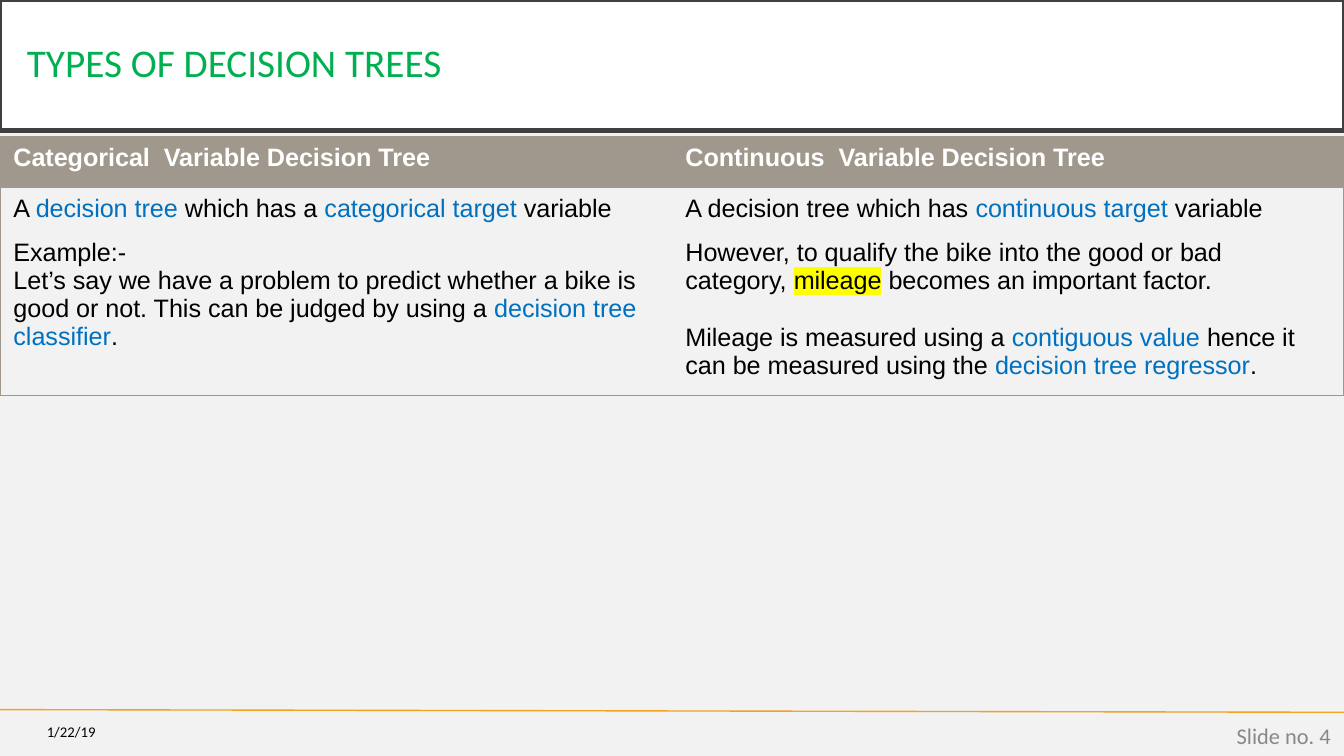
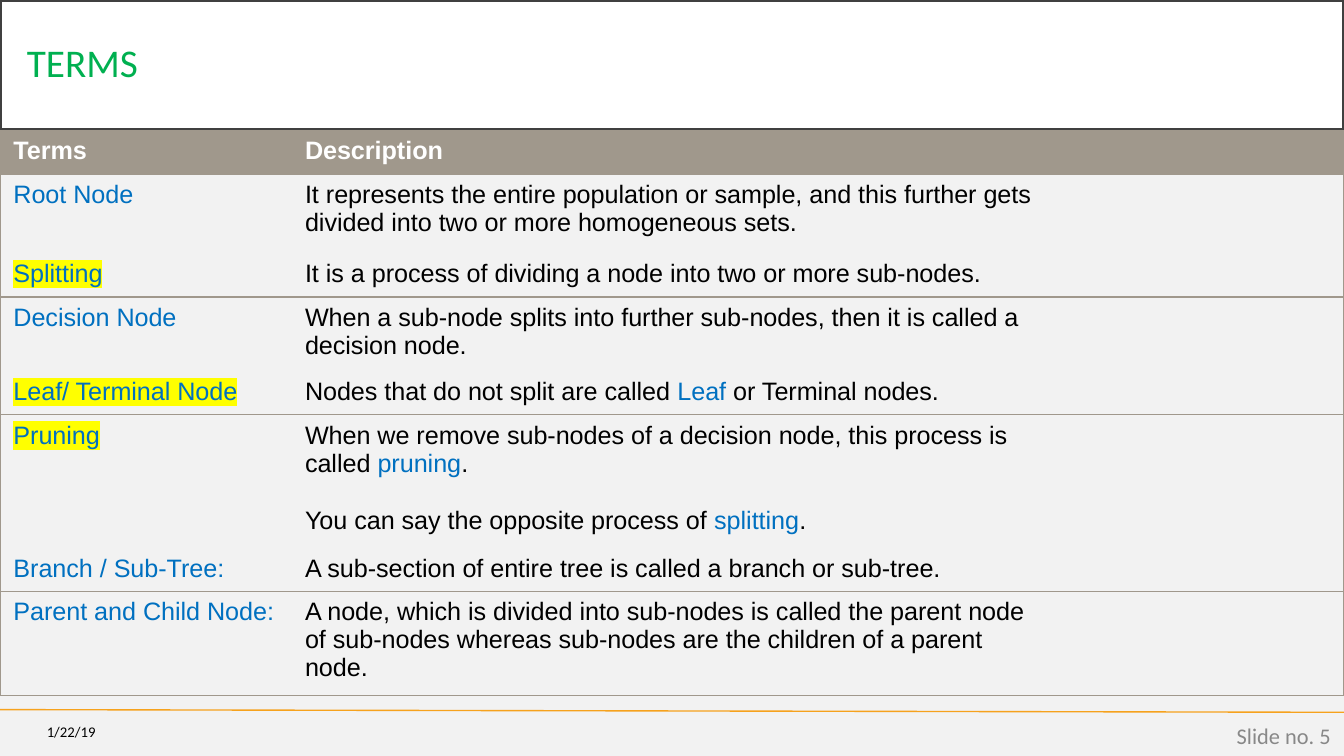
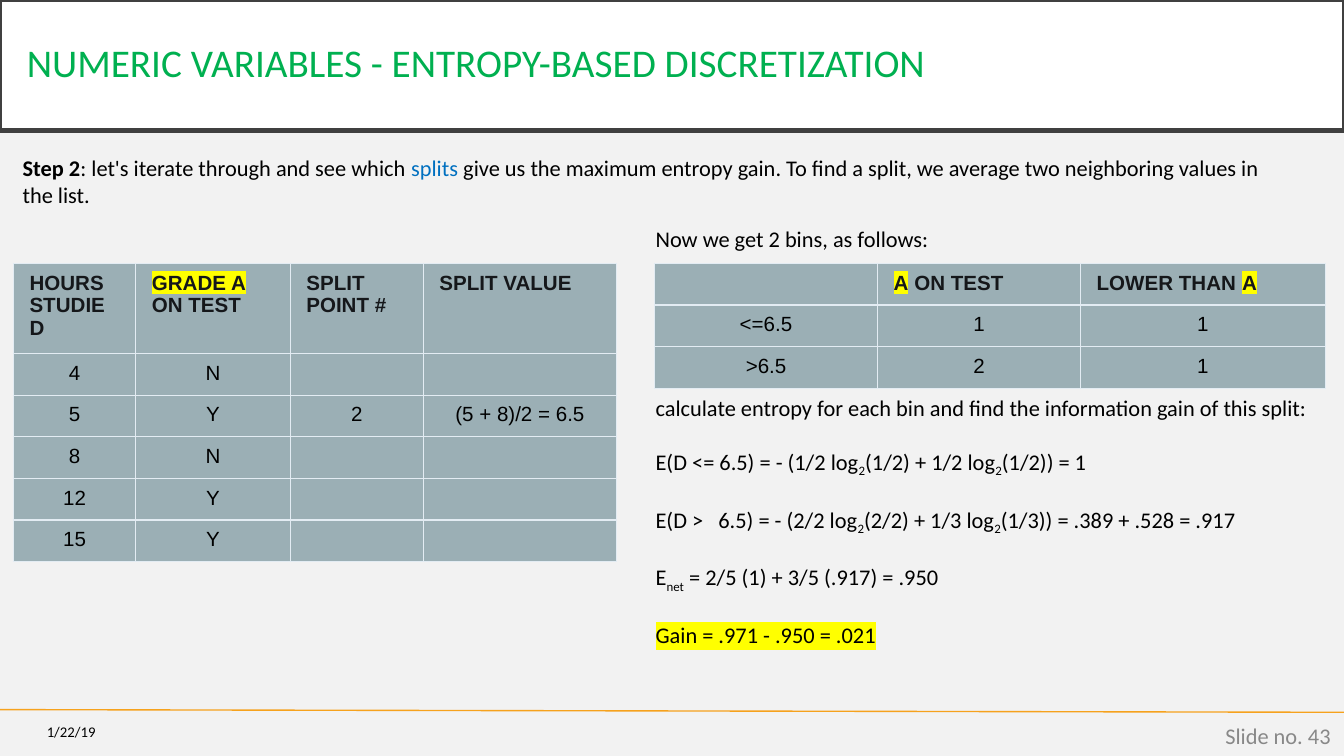
from lxml import etree
from pptx import Presentation
from pptx.dml.color import RGBColor
from pptx.enum.shapes import MSO_CONNECTOR
from pptx.enum.text import MSO_ANCHOR, MSO_AUTO_SIZE, PP_ALIGN
from pptx.oxml.ns import qn
from pptx.util import Inches, Pt

LEFT, CENTER, RIGHT = PP_ALIGN.LEFT, PP_ALIGN.CENTER, PP_ALIGN.RIGHT
MIDDLE, TOP = MSO_ANCHOR.MIDDLE, MSO_ANCHOR.TOP

WIDTH = 10
HEIGHT = WIDTH * 9 / 16
PAPER = RGBColor(0xF2, 0xF2, 0xF2)
WHITE = RGBColor(0xFF, 0xFF, 0xFF)
BLACK = RGBColor(0, 0, 0)
INK = RGBColor(0x15, 0x17, 0x1A)
CHARCOAL = RGBColor(0x40, 0x40, 0x40)
GREEN = RGBColor(0x00, 0xB0, 0x50)
BLUE = RGBColor(0x00, 0x70, 0xC0)
GRAY = RGBColor(0x88, 0x88, 0x88)
ORANGE = RGBColor(0xF6, 0xA2, 0x1D)
TAUPE = RGBColor(0xA0, 0x98, 0x8C)
SLATE = RGBColor(0x9B, 0xAF, 0xB5)
ICE = RGBColor(0xE3, 0xEC, 0xF3)
YELLOW = RGBColor(0xFF, 0xFF, 0x00)

NO_STYLE_TABLE = "{2D5ABB26-0587-4C30-8999-92F81FD0307C}"
DATE = "1/22/19"
ROW = 0.31  # height of a table row with one line of text
GAP = object()  # first in a paragraph: leave one line free above it


def key(text):
    return text, "key"


def mark(text):
    return text, "mark"


def key_mark(text):
    return text, "key mark"


def sub(text):
    return text, "sub"


# Text is a string, or a list of paragraphs, each a list of runs.
TREE_TYPES = [
    ["Categorical  Variable Decision Tree", "Continuous  Variable Decision Tree"],
    [[["A ", key("decision tree "), "which has a ", key("categorical target"), " variable"]],
     [["A decision tree which has ", key("continuous target "), "variable"]]],
    [[["Example:-"],
      ["Let’s say we have a problem to predict whether a bike is good or not. "
       "This can be judged by using a ", key("decision tree classifier"), "."]],
     [["However, to qualify the bike into the good or bad category, ",
       mark("mileage"), " becomes an important factor."],
      [GAP, "Mileage is measured using a ", key("contiguous value "),
       "hence it can be measured using the ", key("decision tree regressor"), "."]]],
]

TERMS = [
    ["Terms", "Description", ""],
    [[[key("Root Node")]],
     "It represents the entire population or sample, and this further gets divided "
     "into two or more homogeneous sets.", ""],
    [[[key_mark("Splitting")]],
     "It is a process of dividing a node into two or more sub-nodes.", ""],
    [[[key("Decision Node")]],
     "When a sub-node splits into further sub-nodes, then it is called a decision node.", ""],
    [[[key_mark("Leaf/ Terminal Node")]],
     [["Nodes that do not split are called ", key("Leaf"), " or Terminal nodes."]], ""],
    [[[key_mark("Pruning")]],
     [["When we remove sub-nodes of a decision node, this process is called ",
       key("pruning"), "."],
      [GAP, "You can say the opposite process of ", key("splitting"), "."]], ""],
    [[[key("Branch / Sub-Tree:")]],
     "A sub-section of entire tree is called a branch or sub-tree.", ""],
    [[[key("Parent and Child Node:")]],
     "A node, which is divided into sub-nodes is called the parent node of sub-nodes "
     "whereas sub-nodes are the children of a parent node.", ""],
]

STEP = [[("Step 2", "bold"), ": let's iterate through and see which ", key("splits"),
         " give us the maximum entropy gain. To find a split, we average two "
         "neighboring values in the list."]]

SPLITS = [
    ["HOURS STUDIED", [[mark("GRADE A"), " ON TEST"]], "SPLIT POINT #", "SPLIT VALUE"],
    ["4", "N", "", ""],
    ["5", "Y", "2", "(5 + 8)/2 = 6.5"],
    ["8", "N", "", ""],
    ["12", "Y", "", ""],
    ["15", "Y", "", ""],
]

BINS = [
    ["", [[mark("A"), " ON TEST"]], [["LOWER THAN ", mark("A")]]],
    ["<=6.5", "1", "1"],
    [">6.5", "2", "1"],
]

ENTROPY = [
    ["calculate entropy for each bin and find the information gain of this split:"],
    [GAP, "E(D <= 6.5) = - (1/2 log", sub("2"), "(1/2) + 1/2 log", sub("2"), "(1/2)) = 1"],
    [GAP, "E(D >   6.5) = - (2/2 log", sub("2"), "(2/2) + 1/3 log", sub("2"),
     "(1/3)) = .389 + .528 = .917"],
    [GAP, "E", sub("net"), " = 2/5 (1) + 3/5 (.917) = .950"],
    [GAP, mark("Gain = .971 - .950 = .021")],
]


def add_run(paragraph, text, flags=""):
    run = paragraph.add_run()
    run.text = text
    flags = flags.split()
    if "bold" in flags:
        run.font.bold = True
    if "key" in flags:
        run.font.color.rgb = BLUE
    properties = run.font._element
    if "mark" in flags:
        highlight = etree.SubElement(properties, qn("a:highlight"))
        etree.SubElement(highlight, qn("a:srgbClr"), val=str(YELLOW))
    if "sub" in flags:
        properties.set("baseline", "-25000")


def write(frame, text, size, font="Calibri", color=BLACK, bold=False, align=LEFT):
    """Fill a text frame; an empty text still fixes the height of its line."""
    line_height = size * (1.22 if font == "Calibri" else 1.15)
    paragraphs = [[text]] if isinstance(text, str) else text
    for index, runs in enumerate(paragraphs):
        paragraph = frame.add_paragraph() if index else frame.paragraphs[0]
        paragraph.alignment = align
        if runs[0] is GAP:
            paragraph.space_before = Pt(line_height)
            runs = runs[1:]
        paragraph.font.size = Pt(size)
        paragraph.font.name = font
        paragraph.font.bold = bold
        paragraph.font.color.rgb = color
        for run in runs:
            if run:
                add_run(paragraph, *([run] if isinstance(run, str) else run))
        if text == "":
            etree.SubElement(paragraph._p, qn("a:endParaRPr"), sz=str(int(size * 100)))


def add_text(slide, box, text, size, color=BLACK, align=LEFT, anchor=TOP):
    frame = slide.shapes.add_textbox(*map(Inches, box)).text_frame
    frame.word_wrap = True
    frame.vertical_anchor = anchor
    write(frame, text, size, color=color, align=align)


def set_borders(cell, sides, color):
    """Draw the named sides (letters of LRTB) of a cell and clear the others."""
    properties = cell._tc.get_or_add_tcPr()
    for index, side in enumerate("LRTB"):
        line = etree.Element(qn(f"a:ln{side}"), w=str(Pt(0.75)))
        if side in sides:
            fill = etree.SubElement(line, qn("a:solidFill"))
            etree.SubElement(fill, qn("a:srgbClr"), val=str(color))
        else:
            etree.SubElement(line, qn("a:noFill"))
        properties.insert(index, line)


def add_table(slide, rows, left, top, columns, row_heights):
    """Add a bare table and return its cells as (row, column, text, cell)."""
    shape = slide.shapes.add_table(len(rows), len(columns), Inches(left), Inches(top),
                                   Inches(sum(columns)), Inches(sum(row_heights)))
    table = shape.table
    table.first_row = table.horz_banding = False
    table._tbl.tblPr.find(qn("a:tableStyleId")).text = NO_STYLE_TABLE
    for column, width in zip(table.columns, columns):
        column.width = Inches(width)
    for row, row_height in zip(table.rows, row_heights):
        row.height = Inches(row_height)
    return [(r, c, text, table.cell(r, c))
            for r, row in enumerate(rows) for c, text in enumerate(row)]


def add_framed_table(slide, rows, top, columns, row_heights, ruled_rows=()):
    last_row, last_column = len(rows) - 1, len(columns) - 1
    for r, c, text, cell in add_table(slide, rows, 0, top, columns, row_heights):
        header = r == 0
        if header:
            cell.fill.solid()
            cell.fill.fore_color.rgb = TAUPE
        else:
            cell.fill.background()
        write(cell.text_frame, text, 13.5, "Arial", WHITE if header else BLACK, header)
        sides = {"L": c == 0, "R": c == last_column,
                 "T": header or r in ruled_rows, "B": r == last_row}
        set_borders(cell, [side for side, shown in sides.items() if shown], TAUPE)


def add_grid_table(slide, rows, left, top, columns, header_height):
    heights = [header_height] + [ROW] * (len(rows) - 1)
    for r, c, text, cell in add_table(slide, rows, left, top, columns, heights):
        header = r == 0
        cell.fill.solid()
        cell.fill.fore_color.rgb = SLATE
        cell.margin_left = cell.margin_right = Inches(0.12)
        cell.margin_top = cell.margin_bottom = Inches(0.06)
        write(cell.text_frame, text, 11, "Arial", INK if header else BLACK, header,
              LEFT if header else CENTER)
        set_borders(cell, "LRTB", ICE)


def add_slide(presentation, title_text, number):
    """Add a slide with the title band, footer rule, date and number."""
    slide = presentation.slides.add_slide(presentation.slide_layouts[5])
    rule = slide.shapes.add_connector(MSO_CONNECTOR.STRAIGHT, 0, Inches(5.28),
                                      Inches(WIDTH), Inches(5.3))
    rule.line.color.rgb = ORANGE
    rule.line.width = Pt(0.75)
    etree.SubElement(rule._element.spPr, qn("a:effectLst"))

    title = slide.shapes.title
    title.left, title.top, title.width, title.height = 0, 0, Inches(WIDTH), Inches(0.97)
    title.fill.solid()
    title.fill.fore_color.rgb = WHITE
    title.line.color.rgb = CHARCOAL
    title.line.width = Pt(2.5)
    frame = title.text_frame
    frame.auto_size = MSO_AUTO_SIZE.NONE
    frame.vertical_anchor = MIDDLE
    frame.margin_left = frame.margin_right = Inches(0.2)
    frame.margin_top = frame.margin_bottom = Inches(0.2)
    write(frame, title_text, 21, color=GREEN)
    frame.paragraphs[0].line_spacing = 0.9

    add_text(slide, (0, 5.31, 0.81, 0.27), DATE, 7.9, align=RIGHT, anchor=MIDDLE)
    add_text(slide, (7.75, 5.32, 2.25, 0.3), f"Slide no. {number}", 12, GRAY, RIGHT, MIDDLE)
    return slide


def main():
    presentation = Presentation()
    presentation.slide_width, presentation.slide_height = Inches(WIDTH), Inches(HEIGHT)
    background = presentation.slide_master.background.fill
    background.solid()
    background.fore_color.rgb = PAPER

    slide = add_slide(presentation, "TYPES OF DECISION TREES", 4)
    add_framed_table(slide, TREE_TYPES, 1.02, [WIDTH / 2] * 2, [0.38, ROW, 1.14])

    slide = add_slide(presentation, "TERMS", 5)
    add_framed_table(slide, TERMS, 0.97, [2.17, 5.68, 2.15],
                     [ROW, 0.59, ROW, 0.52, ROW, 0.94, ROW, 0.72],
                     ruled_rows=range(1, len(TERMS), 2))

    slide = add_slide(presentation, "NUMERIC VARIABLES - ENTROPY-BASED DISCRETIZATION", 43)
    add_text(slide, (0.07, 1.1, 9.53, 0.71), STEP, 12)
    add_grid_table(slide, SPLITS, 0.1, 1.96, [0.91, 1.15, 0.99, 1.44], 0.67)
    add_text(slide, (4.78, 1.63, 2.27, 0.3), "Now we get 2 bins, as follows:", 12)
    add_grid_table(slide, BINS, 4.87, 1.96, [1.66, 1.51, 1.82], ROW)
    add_text(slide, (4.78, 2.88, 5.13, 2.12), ENTROPY, 12)

    presentation.save("out.pptx")


if __name__ == "__main__":
    main()
